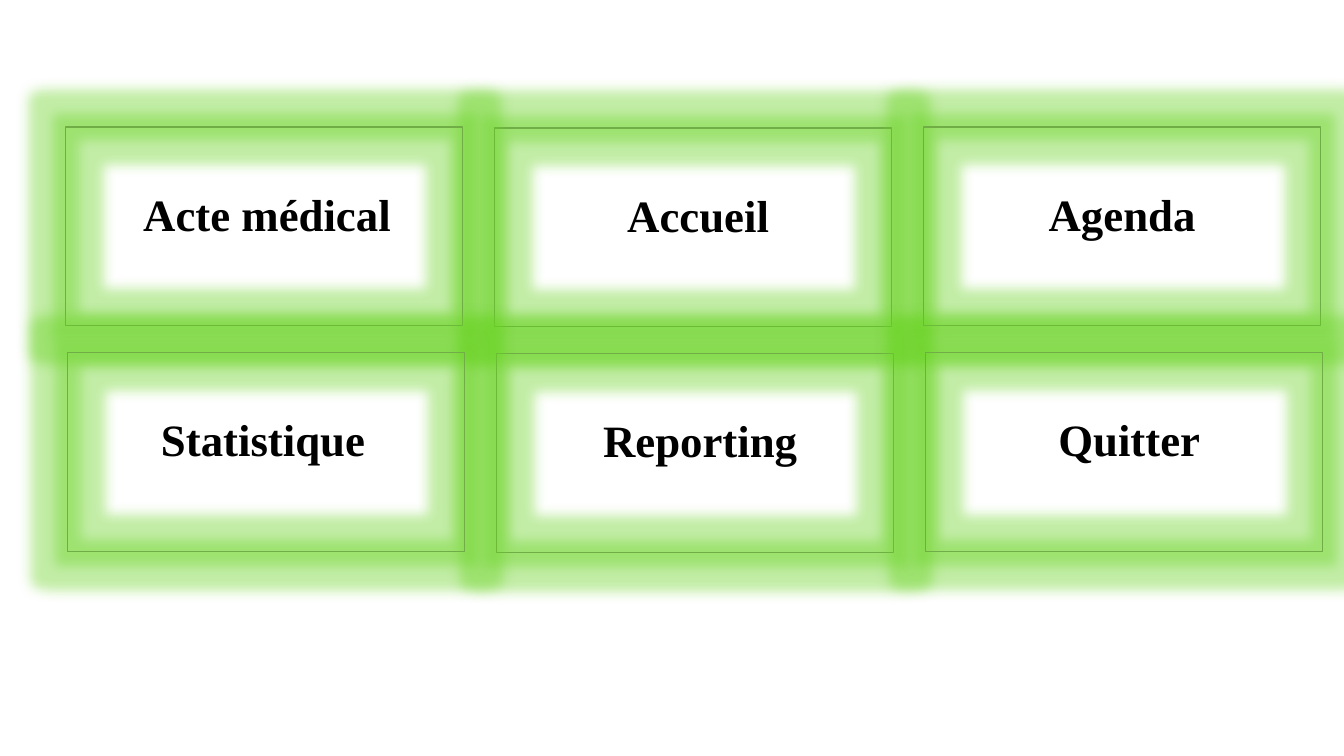
"""Build a menu slide of six glowing green tiles with centred labels."""
from lxml.etree import SubElement
from pptx import Presentation
from pptx.dml.color import RGBColor
from pptx.enum.shapes import MSO_SHAPE
from pptx.enum.text import MSO_ANCHOR, MSO_AUTO_SIZE, PP_ALIGN
from pptx.oxml.ns import qn
from pptx.util import Emu, Inches, Pt

GREEN = RGBColor(0x70, 0xAD, 0x47)
BLACK = RGBColor(0, 0, 0)
WIDE, HIGH = 3.94, 1.97
LEFT, TOP = 0.65, 1.26
STEP, DROP = 4.255, 2.24
SHIFT = 0.02
RISES = [0, 0.01, 0]
MENU = [
    [("Acte médical", 2.68, 0.03), ("Accueil", 1.62, 0.05), ("Agenda", 1.67, 0)],
    [("Statistique", 2.24, -0.03), ("Reporting", 2.15, 0.05), ("Quitter", 1.62, 0.05)],
]

deck = Presentation()
deck.slide_width, deck.slide_height = Inches(13.33), Inches(7.5)
slide = deck.slides.add_slide(deck.slide_layouts[6])
shapes = slide.shapes

spots = []
for col in (1, 0, 2):
    for row in range(2):
        x = LEFT + col * STEP + row * SHIFT
        y = TOP + row * DROP + RISES[col]
        tile = shapes.add_shape(
            MSO_SHAPE.RECTANGLE, Inches(x), Inches(y), Inches(WIDE), Inches(HIGH))
        tile.fill.background()
        tile.line.color.rgb = GREEN
        tile.line.width = Pt(1)
        tile.shadow.inherit = False
        effects = tile.element.spPr.find(qn("a:effectLst"))
        glow = SubElement(effects, qn("a:glow"), rad=str(Emu(Pt(18))))
        color = SubElement(glow, qn("a:srgbClr"), val=str(GREEN))
        SubElement(color, qn("a:satMod"), val="175000")
        SubElement(color, qn("a:alpha"), val="40000")
        spots.append((row, col, x, y))

for row, col, x, y in sorted(spots):
    name, width, nudge = MENU[row][col]
    left = x + (WIDE - width) / 2 + nudge
    label = shapes.add_textbox(
        Inches(left), Inches(y + 0.58 - row * 0.01), Inches(width), Inches(0.61))
    frame = label.text_frame
    frame.word_wrap = False
    frame.auto_size = MSO_AUTO_SIZE.SHAPE_TO_FIT_TEXT
    frame.vertical_anchor = MSO_ANCHOR.BOTTOM
    para = frame.paragraphs[0]
    para.text = name
    para.alignment = PP_ALIGN.CENTER
    para.line_spacing = 0.95
    para.font.name = "Times New Roman"
    para.font.size = Pt(32)
    para.font.bold = True
    para.font.color.rgb = BLACK

deck.save("out.pptx")
